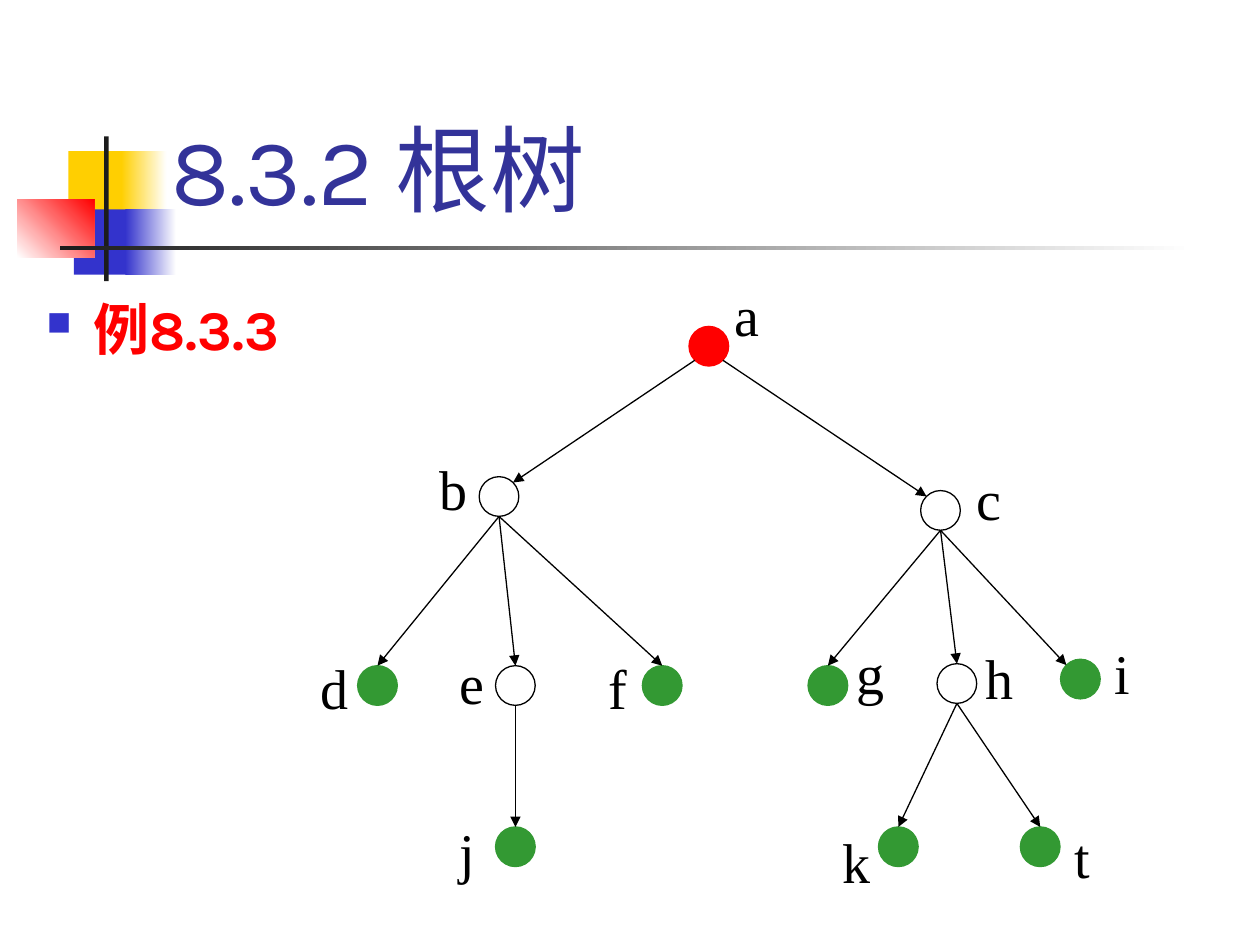
import math
import pptx
import pptx.dml.color
import pptx.enum.shapes
import pptx.enum.text
import pptx.oxml
import pptx.oxml.ns
import pptx.util
from lxml import etree
from pptx.util import Cm

COLORS = {
    "yellow": "FFCF01", "blue": "3333CC", "red": "FF0000", "white": "FFFFFF",
    "charcoal": "1C1C1C", "title": "333399", "leaf": "339933", "black": "000000",
}
SHAPE = pptx.enum.shapes.MSO_SHAPE
ANCHOR = pptx.enum.text.MSO_ANCHOR
NODE_SIZE = 0.8
LABEL_SIZE = (2.34, 2.28)

NODES = {
    "j": (4.22, 11.56, 2.8, 10.82, "leaf"),
    "k": (11.94, 11.56, 10.52, 11.03, "leaf"),
    "t": (14.8, 11.56, 15.19, 10.92, "leaf"),
    "d": (1.44, 8.31, 0, 7.52, "leaf"),
    "e": (4.22, 8.31, 2.8, 7.42, "white"),
    "f": (7.18, 8.31, 5.79, 7.52, "leaf"),
    "g": (10.52, 8.31, 10.8, 7.22, "leaf"),
    "h": (13.12, 8.27, 13.39, 7.32, "white"),
    "i": (15.61, 8.18, 16, 7.22, "leaf"),
    "b": (3.89, 4.5, 2.39, 3.51, "white"),
    "c": (12.79, 4.78, 13.21, 3.71, "white"),
    "a": (8.12, 1.47, 8.33, 0, "red"),
}
UP, DOWN = -90, 90
UP_LEFT, UP_RIGHT, DOWN_LEFT, DOWN_RIGHT = -135, -45, 135, 45
EDGES = [
    ("a", "b", DOWN_LEFT, UP_RIGHT), ("a", "c", DOWN_RIGHT, UP_LEFT),
    ("b", "d", DOWN, UP), ("b", "e", DOWN, UP), ("b", "f", DOWN, UP),
    ("c", "g", DOWN, UP), ("c", "h", DOWN, UP), ("c", "i", DOWN, UP_LEFT),
    ("e", "j", DOWN, UP), ("h", "k", DOWN, UP), ("h", "t", DOWN, UP),
]


def rgb(name):
    """Return the palette colour with this name."""
    return pptx.dml.color.RGBColor.from_string(COLORS[name])


def add_figure(shapes, kind, box, fill, line=None):
    """Add a solid preset shape, outlined only if a line colour is given."""
    figure = shapes.add_shape(kind, *[Cm(length) for length in box])
    figure.shadow.inherit = False
    figure.fill.solid()
    figure.fill.fore_color.rgb = rgb(fill)
    if line:
        figure.line.color.rgb = rgb(line)
        figure.line.width = pptx.util.Pt(0.75)
    else:
        figure.line.fill.background()
    return figure


def format_run(paragraph, font_name, size, color, bold=False):
    """Format the single run of a paragraph."""
    font = paragraph.runs[0].font
    font.name, font.size, font.bold = font_name, pptx.util.Pt(size), bold
    font.color.rgb = rgb(color)


def add_ornament(slide, left, top):
    """Place the coloured blocks and the crossing rules beside the title."""
    blocks = [
        ((1.03, 0.3, 1.22, 1.32), ("yellow",), 0),
        ((2.1, 0.3, 0.91, 1.32), ("yellow", "white"), 0),
        ((1.14, 1.47, 1.17, 1.32), ("blue",), 0),
        ((2.18, 1.47, 1.02, 1.32), ("blue", "white"), 0),
        ((0, 1.27, 1.55, 1.17), ("white", "red"), 45),
        ((1.75, 0, 0.09, 2.92), ("charcoal",), 0),
        ((0.86, 2.2, 22.86, 0.09), ("charcoal", "white"), 0),
    ]
    for (x, y, width, height), hues, angle in blocks:
        block = add_figure(slide.shapes, SHAPE.RECTANGLE,
                           (left + x, top + y, width, height), hues[0])
        if len(hues) == 2:
            block.fill.gradient()
            block.fill.gradient_angle = angle
            for stop, hue in zip(block.fill.gradient_stops, hues):
                stop.color.rgb = rgb(hue)


def add_text(slide, box, text, anchor):
    """Add a wrapping text box and return its paragraph."""
    frame = slide.shapes.add_textbox(*[Cm(length) for length in box]).text_frame
    frame.word_wrap = True
    frame.vertical_anchor = anchor
    frame.text = text
    return frame.paragraphs[0]


def add_title(slide, box):
    """Place the section title at the foot of its box."""
    title = add_text(slide, box, "8.3.2 根树", ANCHOR.BOTTOM)
    format_run(title, "Karla", 54, "title")


def add_body(slide, box):
    """Place the bulleted example heading."""
    example = add_text(slide, box, "例8.3.3", ANCHOR.TOP)
    properties = example._p.get_or_add_pPr()
    properties.set("marL", str(Cm(0.95)))
    properties.set("indent", str(-Cm(0.95)))
    qn = pptx.oxml.ns.qn
    bullet_color = etree.SubElement(properties, qn("a:buClr"))
    etree.SubElement(bullet_color, qn("a:srgbClr"), val=COLORS["blue"])
    etree.SubElement(properties, qn("a:buSzPct"), val="60000")
    etree.SubElement(properties, qn("a:buChar"), char="■")
    example.line_spacing = 1.5
    format_run(example, "Karla", 32, "red", bold=True)


def add_label(shapes, left, top, name):
    """Place the letter of a tree node."""
    label = add_figure(shapes, SHAPE.RECTANGLE, (left, top, *LABEL_SIZE), "white", "white")
    frame = label.text_frame
    frame.margin_left = frame.margin_right = Cm(0.3)
    frame.margin_top = frame.margin_bottom = Cm(0.15)
    frame.vertical_anchor = ANCHOR.TOP
    frame.text = name
    frame.paragraphs[0].alignment = pptx.enum.text.PP_ALIGN.LEFT
    format_run(frame.paragraphs[0], "Times New Roman", 32, "black")


def add_edge(shapes, start, end):
    """Draw an arrow from a parent to its child."""
    edge = shapes.add_connector(pptx.enum.shapes.MSO_CONNECTOR.STRAIGHT, *start, *end)
    edge.line.color.rgb = rgb("black")
    edge.line.width = pptx.util.Pt(0.75)
    qn = pptx.oxml.ns.qn
    etree.SubElement(edge.line._get_or_add_ln(), qn("a:tailEnd"), type="triangle")
    etree.SubElement(edge._element.spPr, qn("a:effectLst"))


def add_tree(slide, left, top):
    """Place the rooted tree with its labels, nodes and arrows."""
    shapes = slide.shapes.add_group_shape().shapes
    radius = NODE_SIZE / 2

    def rim(name, degrees):
        """Return the point on a node's outline in a direction."""
        x, y = NODES[name][:2]
        angle = math.radians(degrees)
        return (Cm(left + x + radius * math.cos(angle)),
                Cm(top + y + radius * math.sin(angle)))

    for name, (_, _, label_x, label_y, _) in NODES.items():
        add_label(shapes, left + label_x, top + label_y, name)
    for x, y, _, _, fill in NODES.values():
        add_figure(shapes, SHAPE.OVAL,
                   (left + x - radius, top + y - radius, NODE_SIZE, NODE_SIZE),
                   fill, "black" if fill == "white" else fill)
    for parent, child, leaving, arriving in EDGES:
        add_edge(shapes, rim(parent, leaving), rim(child, arriving))


def main():
    """Build the slide and save it."""
    deck = pptx.Presentation()
    deck.slide_width, deck.slide_height = Cm(25.4), Cm(19.05)
    slide = deck.slides.add_slide(deck.slide_layouts[6])
    add_ornament(slide, 0.35, 2.75)
    add_title(slide, (3.2, 0.58, 21.64, 4.06))
    add_body(slide, (0.69, 5.13, 24.71, 13.92))
    add_tree(slide, 6.17, 5.51)
    deck.save("out.pptx")


if __name__ == "__main__":
    main()
